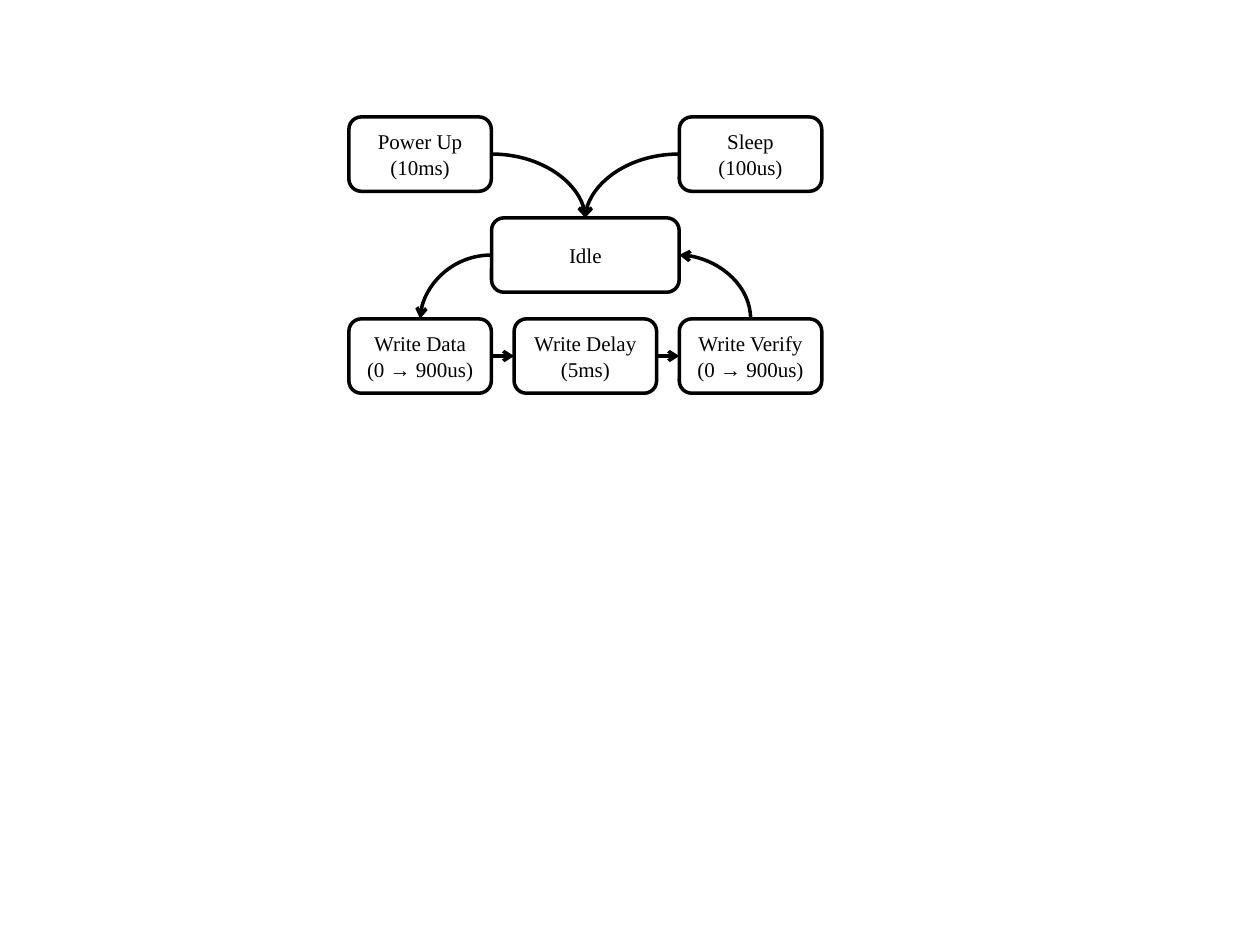
from pptx import Presentation
from pptx.dml.color import RGBColor
from pptx.enum.shapes import MSO_CONNECTOR, MSO_SHAPE
from pptx.enum.text import MSO_ANCHOR, PP_ALIGN
from pptx.oxml.ns import qn
from pptx.util import Pt
from lxml import etree

BOX = MSO_SHAPE.FLOWCHART_ALTERNATE_PROCESS
STRAIGHT, CURVE = MSO_CONNECTOR.STRAIGHT, MSO_CONNECTOR.CURVE
MIDDLE, CENTER = MSO_ANCHOR.MIDDLE, PP_ALIGN.CENTER
TOP, LEFT, RIGHT = 0, 1, 3  # connection sites

# Content: name -> (column, row, width, lines)
WIDE, IDLE = 81.4, 107.2
STATES = {
    "power": (0, 0, WIDE, ["Power Up", "(10ms)"]),
    "sleep": (2, 0, WIDE, ["Sleep", "(100us)"]),
    "idle": (1, 1, IDLE, ["Idle"]),
    "data": (0, 2, WIDE, ["Write Data", "(0 → 900us)"]),
    "delay": (1, 2, WIDE, ["Write Delay", "(5ms)"]),
    "verify": (2, 2, WIDE, ["Write Verify", "(0 → 900us)"]),
}
# (from, site, to, site)
MOVES = [
    ("power", RIGHT, "idle", TOP),
    ("sleep", LEFT, "idle", TOP),
    ("idle", LEFT, "data", TOP),
    ("data", RIGHT, "delay", LEFT),
    ("delay", RIGHT, "verify", LEFT),
    ("verify", TOP, "idle", RIGHT),
]

# Grid
MID_X, STEP_X = 240.1, 94.4  # centre of first column, column pitch
TOP_Y, STEP_Y, HIGH = 66.8, 57.7, 42.5


def color(code):
    return RGBColor.from_string(code)


def ink(line):
    line.color.rgb = color("000000")
    line.width = Pt(2)


def add_state(shapes, col, row, wide, lines):
    left = MID_X + col * STEP_X - wide / 2
    box = shapes.add_shape(BOX, Pt(left), Pt(TOP_Y + row * STEP_Y),
                           Pt(wide), Pt(HIGH))
    box.shadow.inherit = False
    box.fill.solid()
    box.fill.fore_color.rgb = color("FFFFFF")
    ink(box.line)
    frame = box.text_frame
    frame.vertical_anchor = MIDDLE
    frame.text = "\n".join(lines)
    for para in frame.paragraphs:
        para.alignment = CENTER
        para.font.name = "Times New Roman"
        para.font.size = Pt(12)
        para.font.color.rgb = color("000000")
    return box


def turn(link):
    """Turn a bend so that it leaves upward and ends leftward."""
    left, top, wide, high = link.left, link.top, link.width, link.height
    link.left = left + (wide - high) // 2
    link.top = top + (high - wide) // 2
    link.width, link.height = high, wide
    xfrm = link._element.spPr.find(qn("a:xfrm"))
    xfrm.set("rot", str(270 * 60000))
    xfrm.set("flipH", "0")
    xfrm.set("flipV", "1")


def add_move(shapes, start, out, end, into):
    bent = TOP in (out, into)
    link = shapes.add_connector(CURVE if bent else STRAIGHT, 0, 0, 0, 0)
    link.begin_connect(start, out)
    link.end_connect(end, into)
    ink(link.line)
    props = link._element.spPr
    if bent:
        props.find(qn("a:prstGeom")).set("prst", "curvedConnector2")
    if out == TOP:
        turn(link)
    etree.SubElement(props.find(qn("a:ln")), qn("a:tailEnd"), type="arrow")
    etree.SubElement(props, qn("a:effectLst"))


deck = Presentation()
deck.slide_width, deck.slide_height = Pt(720), Pt(540)
shapes = deck.slides.add_slide(deck.slide_layouts[6]).shapes

# States, then the moves between them
boxes = {name: add_state(shapes, *state) for name, state in STATES.items()}
for start, out, end, into in MOVES:
    add_move(shapes, boxes[start], out, boxes[end], into)

deck.save("out.pptx")
